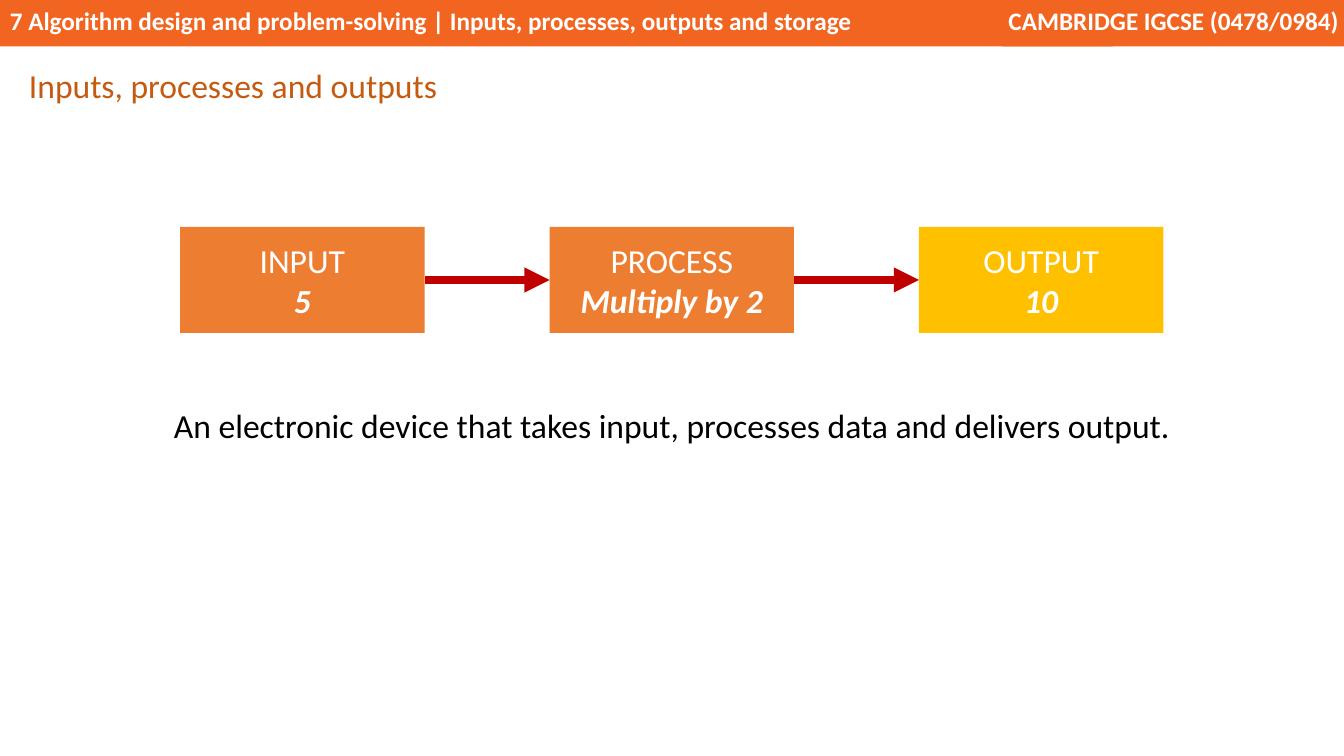
"""Build the slide on inputs, processes and outputs."""
from dataclasses import dataclass
from itertools import pairwise

from lxml.etree import SubElement
from pptx import Presentation
from pptx.dml.color import RGBColor
from pptx.enum.shapes import MSO_CONNECTOR as Connector, MSO_SHAPE as Preset
from pptx.enum.text import MSO_ANCHOR as Anchor, MSO_AUTO_SIZE as AutoSize, PP_ALIGN as Align
from pptx.oxml.ns import qn
from pptx.shapes.autoshape import Shape
from pptx.shapes.shapetree import SlideShapes
from pptx.text.text import _Paragraph as Paragraph
from pptx.util import Cm, Pt

FONT = "Calibri"
WHITE = "FFFFFF"
BANNER_FILL = "F26521"
ARROW_RED = "C00000"
STAGE_LEFT, STAGE_TOP = 4.54, 5.72
STAGE_WIDTH, STAGE_HEIGHT, STAGE_PITCH = 6.16, 2.67, 9.31


@dataclass
class Banner:
    text: str
    left: float
    width: float
    align: Align
    left_inset: float
    right_inset: float


@dataclass
class Stage:
    title: str
    value: str
    fill: str


@dataclass
class Caption:
    text: str
    left: float
    top: float
    width: float
    color: str
    align: Align
    wrap: bool


BANNERS = [
    Banner("7 Algorithm design and problem-solving | Inputs, processes, outputs and storage",
           0, 28.04, Align.LEFT, 0.25, 0.25),
    Banner("CAMBRIDGE IGCSE (0478/0984)", 25.27, 8.6, Align.RIGHT, 0, 0.13),
]
STAGES = [
    Stage("INPUT", "5", "ED7D31"),
    Stage("PROCESS", "Multiply by 2", "ED7D31"),
    Stage("OUTPUT", "10", "FFC000"),
]
CAPTIONS = [
    Caption("Inputs, processes and outputs", 0.48, 1.45, 10.9, "C55A11", Align.LEFT, False),
    Caption("An electronic device that takes input, processes data and delivers output.",
            3.6, 10, 26.67, "000000", Align.CENTER, True),
]


def rgb(color: str) -> RGBColor:
    return RGBColor.from_string(color)


def style(para: Paragraph, size: int, color: str, align: Align,
          bold: bool = False, italic: bool = False) -> None:
    para.alignment = align
    for span in para.runs:
        span.font.name = FONT
        span.font.size = Pt(size)
        span.font.color.rgb = rgb(color)
        span.font.bold = bold
        span.font.italic = italic


def add_block(shapes: SlideShapes, left: float, top: float,
              width: float, height: float, fill: str) -> Shape:
    box = shapes.add_shape(Preset.RECTANGLE, Cm(left), Cm(top), Cm(width), Cm(height))
    box.shadow.inherit = False
    box.fill.solid()
    box.fill.fore_color.rgb = rgb(fill)
    box.line.fill.background()
    return box


def add_banner(shapes: SlideShapes, banner: Banner) -> None:
    frame = add_block(shapes, banner.left, 0, banner.width, 1.17, BANNER_FILL).text_frame
    frame.text = banner.text
    frame.vertical_anchor = Anchor.TOP
    frame.margin_left = Cm(banner.left_inset)
    frame.margin_right = Cm(banner.right_inset)
    style(frame.paragraphs[0], 18, WHITE, banner.align, bold=True)


def add_stage(shapes: SlideShapes, stage: Stage, left: float) -> None:
    frame = add_block(shapes, left, STAGE_TOP, STAGE_WIDTH, STAGE_HEIGHT, stage.fill).text_frame
    frame.text = f"{stage.title}\n{stage.value}"
    frame.vertical_anchor = Anchor.MIDDLE
    title, value = frame.paragraphs
    style(title, 24, WHITE, Align.CENTER)
    style(value, 24, WHITE, Align.CENTER, bold=True, italic=True)


def add_arrow(shapes: SlideShapes, start: float, end: float) -> None:
    middle = Cm(STAGE_TOP + STAGE_HEIGHT / 2)
    arrow = shapes.add_connector(Connector.STRAIGHT, Cm(start), middle, Cm(end), middle)
    arrow.line.color.rgb = rgb(ARROW_RED)
    arrow.line.width = Pt(6)
    properties = arrow.element.spPr
    SubElement(properties.find(qn("a:ln")), qn("a:tailEnd"), type="triangle")
    SubElement(properties, qn("a:effectLst"))


def add_caption(shapes: SlideShapes, caption: Caption) -> None:
    box = shapes.add_textbox(Cm(caption.left), Cm(caption.top), Cm(caption.width), Cm(1.3))
    frame = box.text_frame
    frame.text = caption.text
    frame.word_wrap = caption.wrap
    frame.auto_size = AutoSize.SHAPE_TO_FIT_TEXT
    para = frame.paragraphs[0]
    para.line_spacing = 1.07
    para.space_after = Pt(8)
    style(para, 24, caption.color, caption.align)


def main() -> None:
    deck = Presentation()
    deck.slide_width, deck.slide_height = Cm(33.87), Cm(19.05)
    page = deck.slides.add_slide(deck.slide_layouts[6])
    shapes = page.shapes
    for banner in BANNERS:
        add_banner(shapes, banner)
    lefts = [STAGE_LEFT + index * STAGE_PITCH for index in range(len(STAGES))]
    for stage, left in zip(STAGES, lefts):
        add_stage(shapes, stage, left)
    for left, next_left in pairwise(lefts):
        add_arrow(shapes, left + STAGE_WIDTH, next_left)
    for caption in CAPTIONS:
        add_caption(shapes, caption)
    deck.save("out.pptx")


if __name__ == "__main__":
    main()
